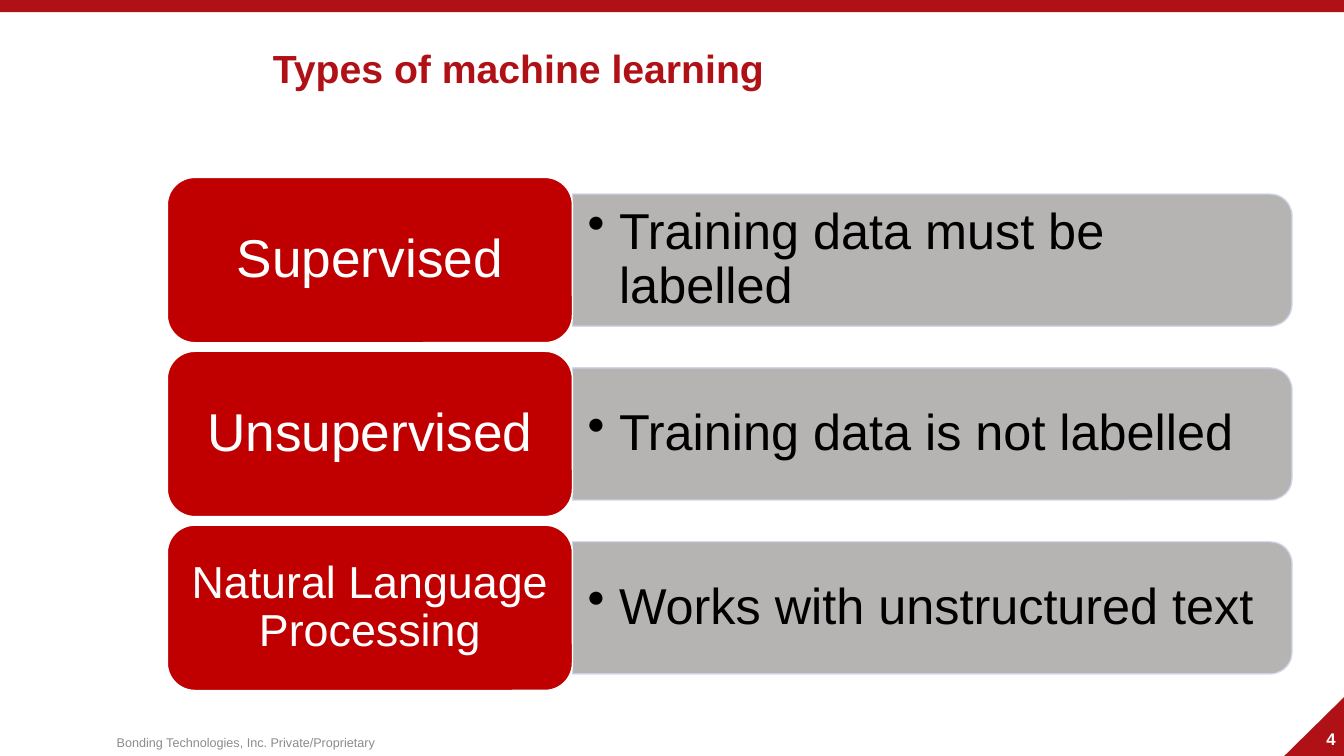
from dataclasses import dataclass

from lxml import etree
from pptx import Presentation
from pptx.dml.color import RGBColor
from pptx.enum.shapes import MSO_SHAPE
from pptx.enum.text import MSO_ANCHOR, PP_ALIGN
from pptx.oxml.ns import qn
from pptx.shapes.autoshape import Shape
from pptx.slide import Slide
from pptx.util import Pt

RECTANGLE = MSO_SHAPE.RECTANGLE
TRIANGLE = MSO_SHAPE.RIGHT_TRIANGLE
ROUNDED = MSO_SHAPE.ROUNDED_RECTANGLE
ROUNDED_TOP = MSO_SHAPE.ROUND_2_SAME_RECTANGLE
TOP, MIDDLE = MSO_ANCHOR.TOP, MSO_ANCHOR.MIDDLE
LEFT, CENTER, RIGHT = PP_ALIGN.LEFT, PP_ALIGN.CENTER, PP_ALIGN.RIGHT

FONT = "Arial"
BRAND_RED, LABEL_RED = "B01116", "C00000"
PANEL_GREY, PANEL_EDGE = "AFABAB", "CFD5EA"
WHITE, BLACK, FOOTER_GREY = "FFFFFF", "000000", "8C8C8C"

# Row layout, in points
FIRST_CENTER, ROW_PITCH = 185.8, 124.2
LABEL_LEFT, LABEL_WIDTH, LABEL_HEIGHT = 119.5, 289.4, 118.1
PANEL_LEFT, PANEL_WIDTH, PANEL_HEIGHT = 408.9, 514, 94.4
DETAIL_WIDTH, DETAIL_HEIGHT = 509, 85.7
BULLET_INDENT = 22.5


@dataclass(frozen=True)
class Box:
    left: float
    top: float
    width: float
    height: float


@dataclass(frozen=True)
class LearningType:
    label: str
    detail: str
    label_size: float
    label_inset: float


LEARNING_TYPES = [
    LearningType("Supervised", "Training data must be labelled", 38, 11.4),
    LearningType("Unsupervised", "Training data is not labelled", 38, 11.4),
    LearningType("Natural Language Processing", "Works with unstructured text", 32, 9.6),
]


def color(value: str) -> RGBColor:
    return RGBColor.from_string(value)


def add_filled(slide: Slide, kind: MSO_SHAPE, box: Box, fill: str,
               edge: str = "", rotation: float = 0) -> Shape:
    shape = slide.shapes.add_shape(
        kind, Pt(box.left), Pt(box.top), Pt(box.width), Pt(box.height))
    shape.shadow.inherit = False
    shape.rotation = rotation
    shape.fill.solid()
    shape.fill.fore_color.rgb = color(fill)
    if edge:
        shape.line.color.rgb = color(edge)
        shape.line.width = Pt(1)
    else:
        shape.line.fill.background()
    return shape


def set_opacity(shape: Shape, percent: int) -> None:
    for srgb in shape.element.spPr.iter(qn("a:srgbClr")):
        etree.SubElement(srgb, qn("a:alpha")).set("val", str(percent * 1000))


def write(shape: Shape, text: str, size: float, font_color: str, *,
          bold: bool = False, align: PP_ALIGN = LEFT, anchor: MSO_ANCHOR = MIDDLE,
          inset: float = 7.2, spacing: float = 1, bullet: bool = False) -> None:
    frame = shape.text_frame
    frame.word_wrap = True
    frame.vertical_anchor = anchor
    frame.margin_left = frame.margin_right = Pt(inset)
    frame.margin_top = frame.margin_bottom = Pt(inset / 2)
    paragraph = frame.paragraphs[0]
    paragraph.text = text
    paragraph.alignment = align
    paragraph.line_spacing = spacing
    if bullet:
        paragraph.level = 1
        properties = paragraph._p.get_or_add_pPr()
        properties.set("marL", str(Pt(BULLET_INDENT)))
        properties.set("indent", str(-Pt(BULLET_INDENT)))
        etree.SubElement(properties, qn("a:buChar")).set("char", "•")
    paragraph.font.name = FONT
    paragraph.font.size = Pt(size)
    paragraph.font.bold = bold
    paragraph.font.color.rgb = color(font_color)


def add_text_box(slide: Slide, box: Box) -> Shape:
    return slide.shapes.add_textbox(
        Pt(box.left), Pt(box.top), Pt(box.width), Pt(box.height))


def add_row(slide: Slide, item: LearningType, center: float) -> None:
    # Grey panel: an upright shape turned so its round corners face right
    panel_box = Box(PANEL_LEFT + (PANEL_WIDTH - PANEL_HEIGHT) / 2,
                    center - PANEL_WIDTH / 2, PANEL_HEIGHT, PANEL_WIDTH)
    panel = add_filled(slide, ROUNDED_TOP, panel_box, PANEL_GREY, PANEL_EDGE, 90)
    set_opacity(panel, 90)

    # Bulleted detail
    detail = add_text_box(slide, Box(PANEL_LEFT, center - DETAIL_HEIGHT / 2,
                                     DETAIL_WIDTH, DETAIL_HEIGHT))
    write(detail, item.detail, 36, BLACK, inset=10.8, spacing=0.9, bullet=True)

    # Red label
    label_box = Box(LABEL_LEFT, center - LABEL_HEIGHT / 2, LABEL_WIDTH, LABEL_HEIGHT)
    label = add_filled(slide, ROUNDED, label_box, LABEL_RED, WHITE)
    write(label, item.label, item.label_size, WHITE, align=CENTER,
          inset=item.label_inset, spacing=0.9)


def main() -> None:
    presentation = Presentation()
    presentation.slide_width, presentation.slide_height = Pt(960), Pt(540)
    slide = presentation.slides.add_slide(presentation.slide_layouts[6])

    # Footer, page corner and top band
    footer = add_text_box(slide, Box(76.3, 516.2, 496, 28.8))
    write(footer, "Bonding Technologies, Inc. Private/Proprietary", 9, FOOTER_GREY)
    add_filled(slide, TRIANGLE, Box(916.6, 497.5, 43.2, 43.9), BRAND_RED, rotation=270)
    page_number = add_text_box(slide, Box(745.2, 513.4, 216, 28.8))
    write(page_number, "4", 12, WHITE, bold=True, align=RIGHT)
    add_filled(slide, RECTANGLE, Box(0, -0.7, 960, 9.4), BRAND_RED)

    # Title
    title = add_text_box(slide, Box(187.9, 28.1, 734.4, 41))
    write(title, "Types of machine learning", 28, BRAND_RED, bold=True, anchor=TOP)

    # Learning types
    for index, item in enumerate(LEARNING_TYPES):
        add_row(slide, item, FIRST_CENTER + index * ROW_PITCH)

    presentation.save("out.pptx")


if __name__ == "__main__":
    main()
